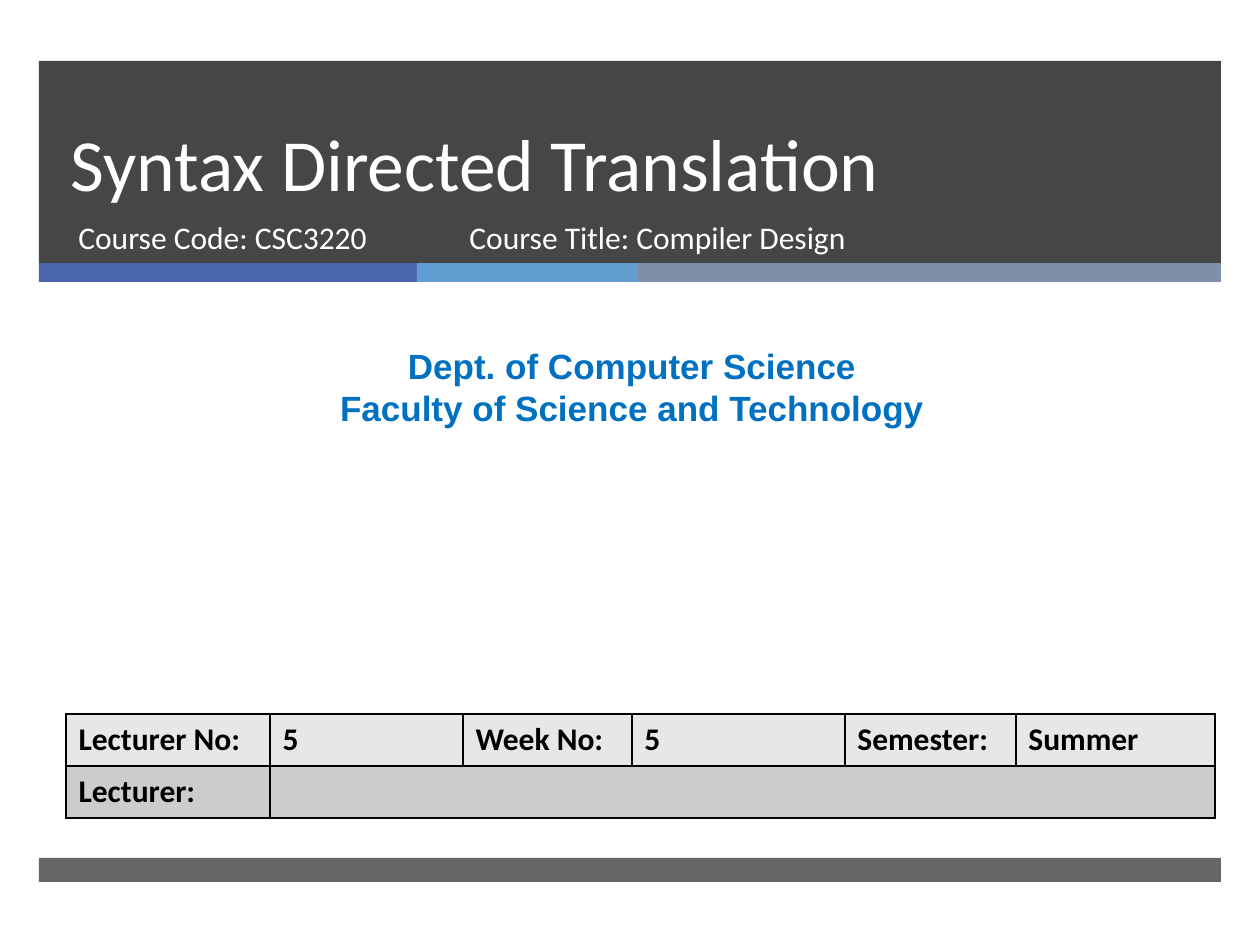
from dataclasses import dataclass
from itertools import product

from pptx import Presentation
from pptx.dml.color import RGBColor as RGB
from pptx.enum.shapes import MSO_SHAPE as Shape
from pptx.enum.text import MSO_ANCHOR as Anchor, PP_ALIGN as Align
from pptx.oxml.ns import qn
from pptx.util import Emu, Pt
from lxml.etree import SubElement

EMU_PER_PX = 914400 / 126


@dataclass(frozen=True)
class Theme:
    dark: str = "262626"
    accents: tuple = ("4A66AC", "629DD1", "7F8FA9")
    light: str = "FFFFFF"
    department: str = "0070C0"
    ink: str = "000000"
    table_rows: tuple = ("E7E7E7", "CCCCCC")
    body_font: str = "Calibri"
    department_font: str = "Arial"
    title_size: int = 42
    department_size: int = 20
    body_size: int = 18


THEME = Theme()


def px(*lengths):
    return [Emu(round(length * EMU_PER_PX)) for length in lengths]


def add_band(slide, box, color, opacity=100):
    band = slide.shapes.add_shape(Shape.RECTANGLE, *px(*box))
    band.shadow.inherit = False
    band.line.fill.background()
    band.fill.solid()
    band.fill.fore_color.rgb = RGB.from_string(color)
    if opacity < 100:
        tint = band.fill._xPr.find(qn("a:solidFill"))[0]
        SubElement(tint, qn("a:alpha"), val=str(opacity * 1000))


def add_run(paragraph, text, size, color, font=THEME.body_font, bold=False):
    run = paragraph.add_run()
    run.text = text
    run.font.name = font
    run.font.size = Pt(size)
    run.font.bold = bold
    run.font.color.rgb = RGB.from_string(color)


def add_text(slide, box, lines, size, color, font=THEME.body_font, bold=False,
             align=Align.LEFT, anchor=Anchor.TOP, spacing=None):
    frame = slide.shapes.add_textbox(*px(*box)).text_frame
    frame.word_wrap = True
    frame.vertical_anchor = anchor
    for index, line in enumerate(lines):
        paragraph = frame.add_paragraph() if index else frame.paragraphs[0]
        paragraph.alignment = align
        if spacing:
            paragraph.line_spacing = Pt(spacing)
        add_run(paragraph, line, size, color, font, bold)


def style_cell(cell, fill):
    properties = cell._tc.get_or_add_tcPr()
    for side in ("lnL", "lnR", "lnT", "lnB"):
        border = SubElement(properties, qn(f"a:{side}"), w=str(Pt(1)))
        paint = SubElement(border, qn("a:solidFill"))
        SubElement(paint, qn("a:srgbClr"), val=THEME.ink)
    cell.fill.solid()
    cell.fill.fore_color.rgb = RGB.from_string(fill)


def add_lecture_table(slide, left, top, widths, row_height, rows):
    """Short rows have their last cell merged across the remaining columns."""
    box = px(left, top, sum(widths), row_height * len(rows))
    table = slide.shapes.add_table(len(rows), len(widths), *box).table
    for column, width in zip(table.columns, px(*widths)):
        column.width = width
    for row, col in product(range(len(rows)), range(len(widths))):
        cell = table.cell(row, col)
        style_cell(cell, THEME.table_rows[row])
        text = rows[row][col] if col < len(rows[row]) else ""
        if text:
            add_run(cell.text_frame.paragraphs[0], text, THEME.body_size,
                    THEME.ink, bold=True)
        else:
            cell.text_frame.paragraphs[0].font.size = Pt(THEME.body_size)
    for row, texts in enumerate(rows):
        if len(texts) < len(widths):
            last = table.cell(row, len(widths) - 1)
            table.cell(row, len(texts) - 1).merge(last)


def add_bands(slide):
    left, width = 39, 1182
    add_band(slide, (left, 61, width, 202), THEME.dark, 85)
    accent_left = left
    for color, accent_width in zip(THEME.accents, (378, 221, 583)):
        add_band(slide, (accent_left, 263, accent_width, 19), color)
        accent_left += accent_width
    add_band(slide, (left, 858, width, 24), THEME.dark, 70)


def main():
    deck = Presentation()
    deck.slide_width, deck.slide_height = px(1260, 945)
    slide = deck.slides.add_slide(deck.slide_layouts[6])

    add_bands(slide)
    add_text(slide, (58, 62, 1076, 150), ["Syntax Directed Translation"],
             THEME.title_size, THEME.light, anchor=Anchor.BOTTOM, spacing=46)
    add_text(slide, (66, 212, 384, 67), ["Course Code: CSC3220"],
             THEME.body_size, THEME.light)
    add_text(slide, (457, 212, 573, 67), ["Course Title: Compiler Design"],
             THEME.body_size, THEME.light)
    add_text(slide, (10, 338, 1244, 97),
             ["Dept. of Computer Science", "Faculty of Science and Technology"],
             THEME.department_size, THEME.department, THEME.department_font,
             bold=True, align=Align.CENTER, spacing=24)
    add_lecture_table(
        slide, 66, 714, (204, 193, 169, 213, 171, 199), 52,
        [["Lecturer No:", "5", "Week No:", "5", "Semester:", "Summer"],
         ["Lecturer:", ""]])

    deck.save("out.pptx")


if __name__ == "__main__":
    main()
